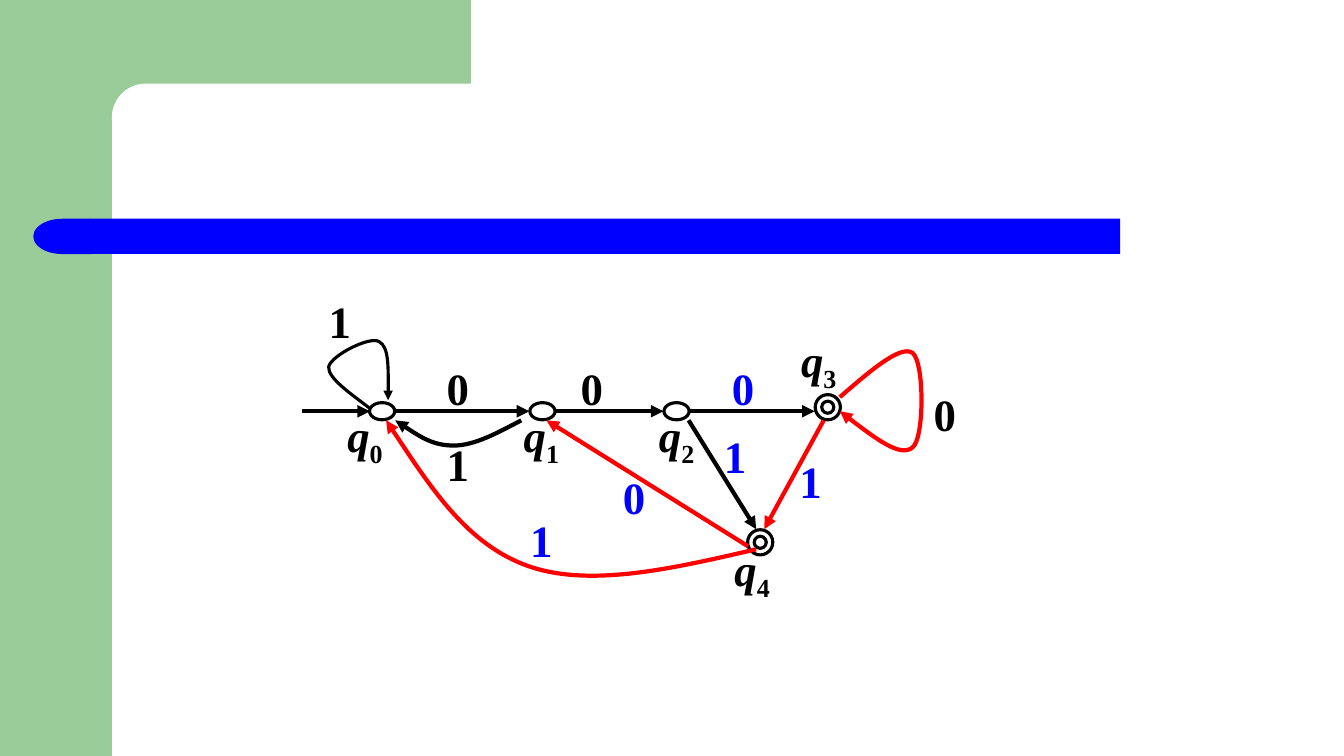
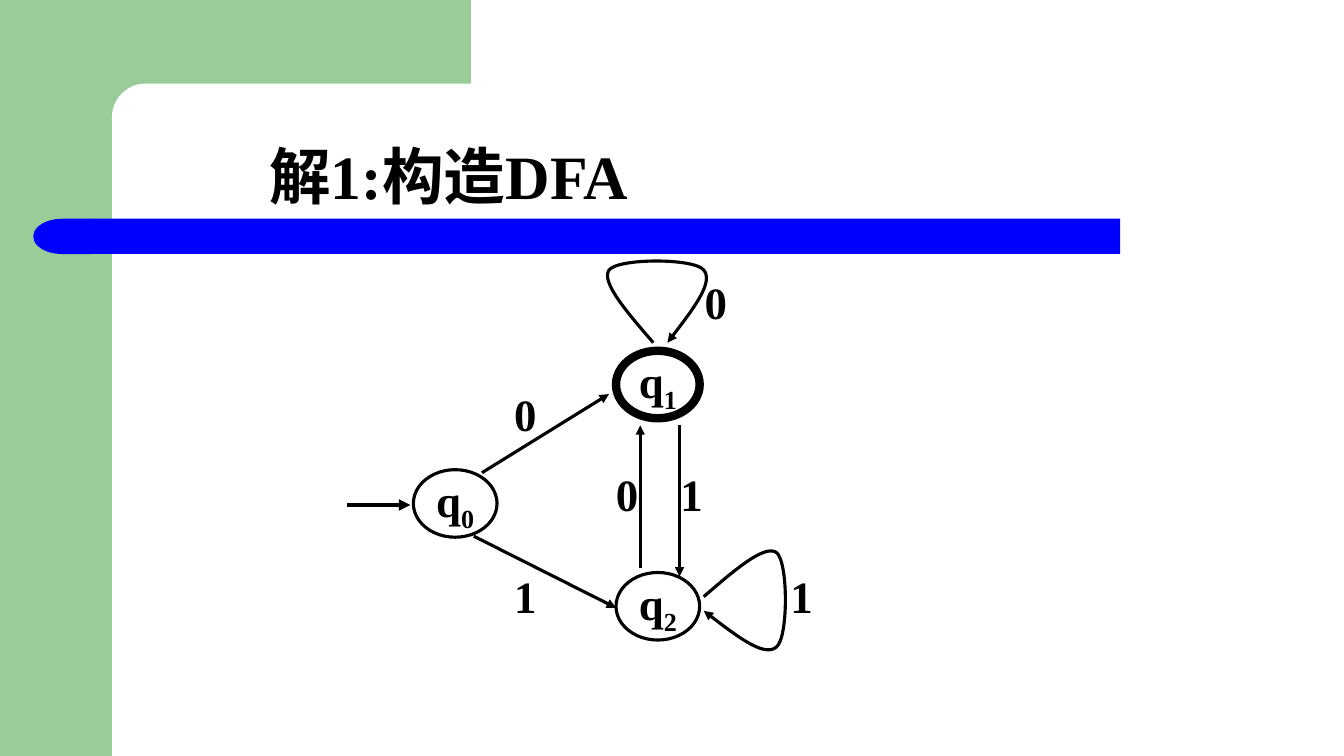
from pptx import Presentation
from pptx.dml.color import RGBColor
from pptx.enum import lang, shapes, text
from pptx.oxml import parse_xml
from pptx.oxml.ns import nsdecls, qn
from pptx.util import Inches, Pt

GREEN = RGBColor(0x99, 0xCC, 0x99)
BLUE = RGBColor(0, 0, 0xFF)
RED = RGBColor(0xFF, 0, 0)
BLACK = RGBColor(0, 0, 0)
WHITE = RGBColor(0xFF, 0xFF, 0xFF)
FONT = "Times New Roman"
SHAPE = shapes.MSO_SHAPE

# shape, left, top, width, height, colour, corner, turn
BANDS = [
    (SHAPE.RECTANGLE, 0, 0, 1.11, 7.5, GREEN, None, 0),
    (SHAPE.RECTANGLE, 1, 0, 3.67, 1.17, GREEN, None, 0),
    (SHAPE.ROUNDED_RECTANGLE, 1.11, 0.83, 7.44, 0.67, WHITE, 0.5, 0),
    (SHAPE.RECTANGLE, 0.89, 2.17, 10.22, 0.35, BLUE, None, 0),
    (SHAPE.FLOWCHART_DELAY, 0.33, 2.17, 0.57, 0.35, BLUE, None, 180),
]
# offsets from the start of a loop that leaves a state to the right
LOOP = [(0, 0), (0.3, -0.26), (0.6, -0.52), (0.72, -0.44),
        (0.84, -0.35), (0.84, 0.41), (0.72, 0.5),
        (0.6, 0.6), (0.3, 0.37), (0, 0.14)]


def loop(x, y, up=False):
    return [(x + dy, y - dx) if up else (x + dx, y + dy) for dx, dy in LOOP]


# Marks: text, centre x, top, colour
# Arcs: Bezier points, colour, width. Lines: x1, y1, x2, y2, colour, width
MINIMAL = {
    "title": None,
    # centre x, centre y, accepting, name centre x, name top
    "states": [("0", 3.79, 4.08, False, 3.62, 4.08),
               ("1", 5.38, 4.08, False, 5.37, 4.08),
               ("2", 6.71, 4.08, False, 6.71, 4.08),
               ("3", 8.21, 4.04, True, 8.12, 3.33),
               ("4", 7.54, 5.38, True, 7.46, 5.41)],
    "lines": [(3, 4.08, 3.67, 4.08, BLACK, 3),
              (3.92, 4.08, 5.25, 4.08, BLACK, 3),
              (5.5, 4.08, 6.58, 4.08, BLACK, 3),
              (6.83, 4.08, 8.08, 4.08, BLACK, 3),
              (8.17, 4.17, 7.58, 5.25, RED, 3),
              (6.83, 4.17, 7.5, 5.25, BLACK, 3),
              (7.42, 5.42, 5.42, 4.17, RED, 3)],
    "arcs": [([(3.68, 4.06), (3.47, 3.9), (3.25, 3.75), (3.26, 3.64),
               (3.28, 3.53), (3.67, 3.33), (3.76, 3.39),
               (3.86, 3.44), (3.85, 3.71), (3.85, 3.97)], BLACK, 2.25),
             ([(5.17, 4.17), (4.94, 4.29), (4.71, 4.42), (4.5, 4.42),
               (4.29, 4.42), (4.1, 4.29), (3.92, 4.17)], BLACK, 3),
             (loop(8.33, 3.94), RED, 3),
             ([(7.5, 5.45), (6.68, 5.64), (5.86, 5.83), (5.25, 5.62),
               (4.64, 5.41), (4.24, 4.79), (3.83, 4.17)], RED, 3)],
    "marks": [("0", 4.54, 3.58, BLACK), ("1", 3.37, 2.91, BLACK),
              ("1", 4.54, 4.33, BLACK), ("0", 5.87, 3.58, BLACK),
              ("0", 7.37, 3.58, BLUE), ("0", 9.37, 3.83, BLACK),
              ("1", 5.37, 5.08, BLUE), ("1", 7.29, 4.25, BLUE),
              ("0", 6.29, 4.66, BLUE), ("1", 8.04, 4.5, BLUE)],
}
BUILT = {
    "title": "解1:构造DFA",
    # left, top, line width
    "rings": [("0", 4.1, 4.66, 2.25), ("1", 6.11, 3.48, 6),
              ("2", 6.11, 5.68, 2.25)],
    "lines": [(3.44, 5.01, 4.07, 5.01, BLACK, 2.75),
              (4.78, 4.69, 6.04, 3.91, BLACK, 2.25),
              (4.7, 5.32, 6.11, 6.03, BLACK, 2.25),
              (6.35, 5.64, 6.35, 4.22, BLACK, 2.25),
              (6.74, 4.22, 6.74, 5.72, BLACK, 2.25)],
    "arcs": [(loop(6.48, 3.4, up=True), BLACK, 2.25),
             (loop(6.98, 5.92), BLACK, 2.25)],
    "marks": [("0", 5.21, 3.83, BLACK), ("0", 7.1, 2.72, BLACK),
              ("1", 5.21, 5.64, BLACK), ("0", 6.22, 4.63, BLACK),
              ("1", 6.86, 4.63, BLACK), ("1", 7.95, 5.64, BLACK)],
}


def style(font, size, color):
    font.name, font.size, font.bold = FONT, Pt(size), True
    font.color.rgb = color


def write(frame, word, sub="", color=BLACK, slant=False):
    """Centre a word, with an optional subscript, in a frame."""
    frame.vertical_anchor = text.MSO_ANCHOR.MIDDLE
    para = frame.paragraphs[0]
    para.alignment = text.PP_ALIGN.CENTER
    run = para.add_run()
    run.text = word
    style(run.font, 32, color)
    run.font.italic = slant
    if sub:
        low = para.add_run()
        low.text = sub
        style(low.font, 32, color)
        low._r.get_or_add_rPr().set("baseline", "-25000")


def label(slide, word, x, top, color=BLACK, sub="", slant=False):
    wide = 0.58
    box = slide.shapes.add_textbox(Inches(x - wide / 2), Inches(top),
                                   Inches(wide), Inches(0.54))
    frame = box.text_frame
    frame.word_wrap = True
    frame.margin_left = frame.margin_right = 0
    frame.margin_top = frame.margin_bottom = 0
    write(frame, word, sub, color, slant)


def outline(shape, color, width):
    shape.line.color.rgb = color
    shape.line.width = Pt(width)


def shape(slide, kind, left, top, wide, high):
    item = slide.shapes.add_shape(kind, Inches(left), Inches(top),
                                  Inches(wide), Inches(high))
    item.shadow.inherit = False
    return item


def ring(slide, kind, left, top, wide, high, width):
    item = shape(slide, kind, left, top, wide, high)
    item.fill.background()
    outline(item, BLACK, width)
    return item


def point(item):
    """Put an arrowhead at the end of a line."""
    item.line._get_or_add_ln().append(
        parse_xml(f'<a:tailEnd {nsdecls("a")} type="triangle"/>'))


def arrow(slide, x1, y1, x2, y2, color, width):
    line = slide.shapes.add_connector(
        shapes.MSO_CONNECTOR.STRAIGHT, Inches(x1), Inches(y1),
        Inches(x2), Inches(y2))
    outline(line, color, width)
    point(line)
    line.element.spPr.append(parse_xml(f'<a:effectLst {nsdecls("a")}/>'))


def arc(slide, dots, color, width):
    """Draw a curved arrow: each three points after the first are one Bezier."""
    start, *rest = [(Inches(x), Inches(y)) for x, y in dots]
    pen = slide.shapes.build_freeform(*start)
    pen.add_line_segments(rest, close=False)
    curve = pen.convert_to_shape()
    trace = next(curve.element.iter(qn("a:path")))
    steps = trace.findall(qn("a:lnTo"))
    for i in range(0, len(steps), 3):
        bend = parse_xml(f'<a:cubicBezTo {nsdecls("a")}/>')
        for step in steps[i:i + 3]:
            bend.append(step[0])
            trace.remove(step)
        trace.append(bend)
    curve.shadow.inherit = False
    curve.fill.background()
    outline(curve, color, width)
    point(curve)


def dress(deck, slide):
    """Draw the bands once and move them to the slide master."""
    tree = deck.slide_master.shapes.element
    for i, (kind, *box, color, corner, turn) in enumerate(BANDS):
        band = shape(slide, kind, *box)
        band.fill.solid()
        band.fill.fore_color.rgb = color
        band.line.fill.background()
        band.rotation = turn
        if corner is not None:
            band.adjustments[0] = corner
        band.element.nvSpPr.cNvPr.id = 20 + i
        tree.insert(2 + i, band.element)


def head(slide, words):
    title = slide.shapes.title
    title.left, title.top = Inches(2.57), Inches(0.91)
    title.width, title.height = Inches(8.75), Inches(1.25)
    frame = title.text_frame
    frame.text = words
    frame.auto_size = text.MSO_AUTO_SIZE.NONE
    frame.vertical_anchor = text.MSO_ANCHOR.BOTTOM
    para = frame.paragraphs[0]
    para.alignment = text.PP_ALIGN.LEFT
    para.line_spacing = 0.9
    font = para.runs[0].font
    style(font, 44, BLACK)
    font.language_id = lang.MSO_LANGUAGE_ID.SIMPLIFIED_CHINESE


def draw(slide, graph):
    if graph["title"]:
        head(slide, graph["title"])
    for sub, x, y, final, name, top in graph.get("states", []):
        kind, high = (SHAPE.DONUT, 0.25) if final else (SHAPE.OVAL, 0.17)
        dot = ring(slide, kind, x - 0.125, y - high / 2, 0.25, high, 2.25)
        if final:
            dot.adjustments[0] = 0.26
        label(slide, "q", name, top, sub=sub, slant=True)
    for sub, left, top, width in graph.get("rings", []):
        node = ring(slide, SHAPE.OVAL, left, top, 0.83, 0.67, width)
        node.text_frame.word_wrap = False
        write(node.text_frame, "q", sub)
    for line in graph["lines"]:
        arrow(slide, *line)
    for bend in graph["arcs"]:
        arc(slide, *bend)
    for mark in graph["marks"]:
        label(slide, *mark)


def main():
    deck = Presentation()
    deck.slide_width, deck.slide_height = Inches(13.33), Inches(7.5)
    for i, graph in enumerate([MINIMAL, BUILT]):
        layout = deck.slide_layouts[5 if graph["title"] else 6]
        slide = deck.slides.add_slide(layout)
        if i == 0:
            dress(deck, slide)
        draw(slide, graph)
    deck.save("out.pptx")


if __name__ == "__main__":
    main()
